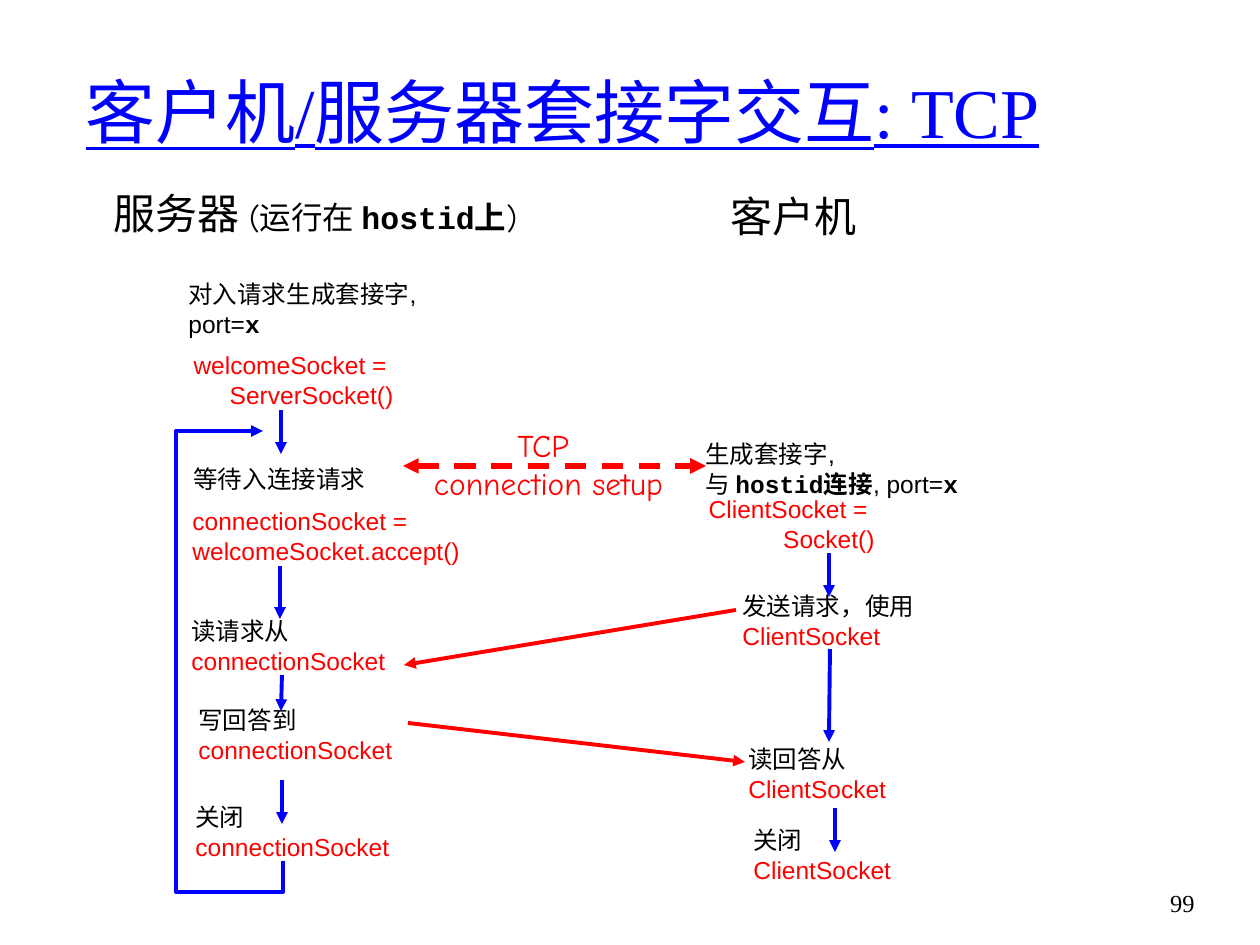
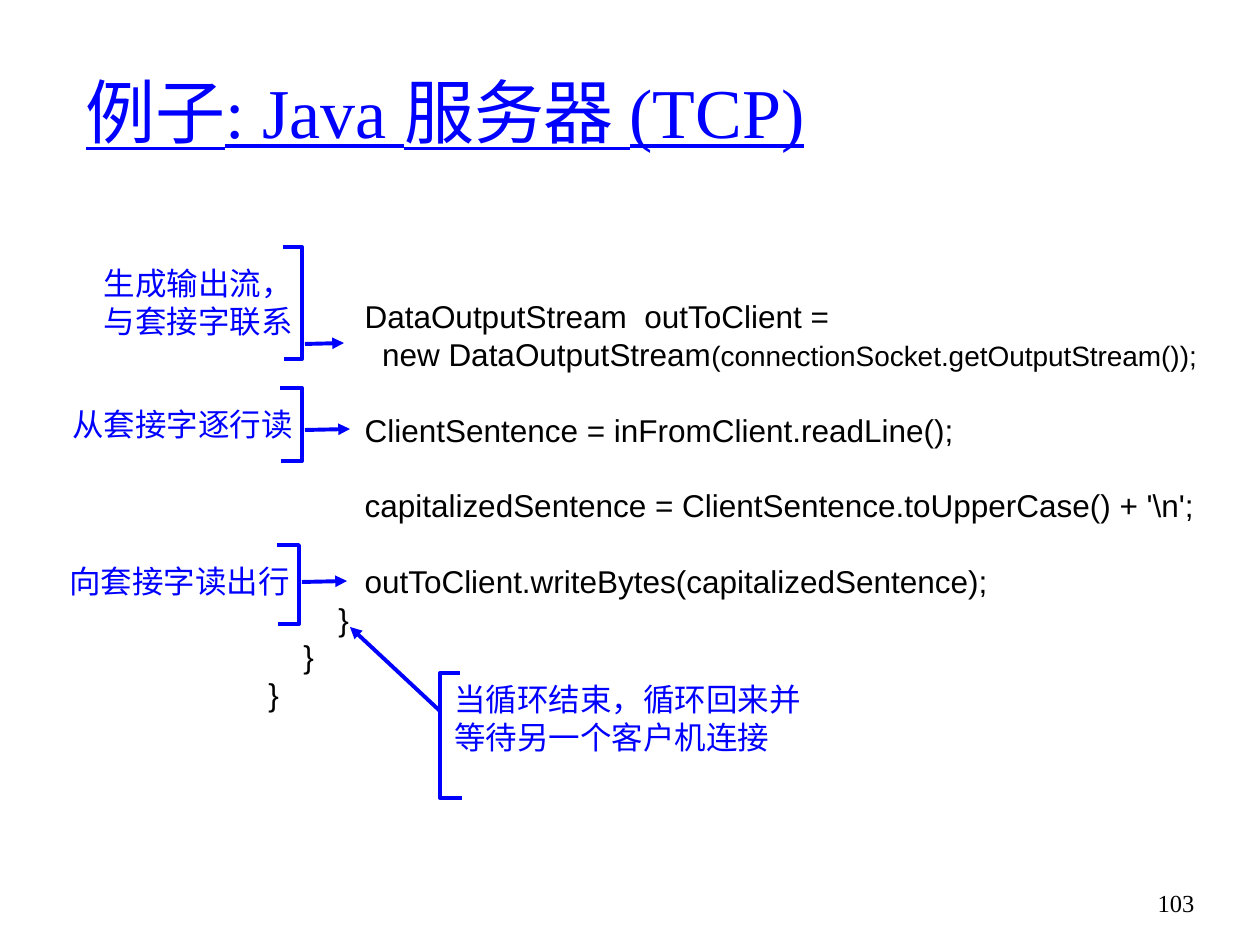
from dataclasses import dataclass

from lxml import etree
from pptx import Presentation
from pptx.dml.color import RGBColor
from pptx.enum.dml import MSO_LINE
from pptx.enum.shapes import MSO_CONNECTOR
from pptx.enum.text import MSO_ANCHOR, MSO_AUTO_SIZE, PP_ALIGN
from pptx.oxml.ns import qn
from pptx.util import Emu, Pt

LEFT, CENTER, RIGHT = PP_ALIGN.LEFT, PP_ALIGN.CENTER, PP_ALIGN.RIGHT
TOP, MIDDLE = MSO_ANCHOR.TOP, MSO_ANCHOR.MIDDLE
FIT, FIXED = MSO_AUTO_SIZE.SHAPE_TO_FIT_TEXT, MSO_AUTO_SIZE.NONE
STRAIGHT, DASH = MSO_CONNECTOR.STRAIGHT, MSO_LINE.DASH

PX_PER_INCH = 126
TITLE_ONLY = 5
BLUE, RED, BLACK = "0000FF", "FF0000", "000000"
LINE_PITCH = 1.2


def px(length):
    return Emu(round(length * 914400 / PX_PER_INCH))


def rgb(hex_colour):
    return RGBColor.from_string(hex_colour)


@dataclass(frozen=True)
class Style:
    font: str
    size: int
    colour: str = BLACK
    bold: bool = False
    underline: bool = False


TITLE = Style("Times New Roman", 40, BLUE, underline=True)
PAGE_NUMBER = Style("Times New Roman", 14)
HEADING = Style("Comic Neue", 24)
HEADING_DETAIL = Style("Comic Neue", 18)
HEADING_MONO = Style("Courier New", 18, bold=True)
SETUP = Style("Comic Neue", 18, RED)
NOTE = Style("Comic Neue", 18, BLUE)
STEP = Style("Arial", 14)
STEP_MONO = Style("Courier New", 14, bold=True)
CALL = Style("Arial", 14, RED)
CODE = Style("Arial", 18)
CODE_SMALL = Style("Arial", 16)


def add_run(paragraph, text, style):
    run = paragraph.add_run()
    run.text = text
    font = run.font
    font.name, font.size = style.font, Pt(style.size)
    font.bold, font.underline = style.bold, style.underline
    font.color.rgb = rgb(style.colour)


def add_arrowheads(line, *ends):
    for end in ends:
        etree.SubElement(line._get_or_add_ln(), qn(f"a:{end}"), type="triangle")


@dataclass
class Region:
    """Part of a slide; all lengths are px from its top left corner."""
    slide: object
    left: int
    top: int

    def at(self, x, y):
        return px(self.left + x), px(self.top + y)

    def text(self, x, y, width, height, lines, align=LEFT, anchor=MIDDLE,
             wrap=False, fit=FIT, gaps=()):
        """Each line is a list of (text, style); gaps maps line index to points."""
        box = self.slide.shapes.add_textbox(*self.at(x, y), px(width), px(height))
        frame = box.text_frame
        frame.word_wrap, frame.auto_size = wrap, fit
        frame.vertical_anchor = anchor
        for index, line in enumerate(lines):
            paragraph = frame.paragraphs[0] if index == 0 else frame.add_paragraph()
            paragraph.alignment = align
            paragraph.line_spacing = Pt(LINE_PITCH * max(s.size for _, s in line))
            if index in gaps:
                paragraph.space_before = Pt(gaps[index])
            for text, style in line:
                add_run(paragraph, text, style)

    def arrow(self, start, end, colour=BLUE, width=2.25, dash=None, both=False):
        connector = self.slide.shapes.add_connector(
            STRAIGHT, *self.at(*start), *self.at(*end))
        line = connector.line
        line.color.rgb, line.width = rgb(colour), Pt(width)
        if dash:
            line.dash_style = dash
        add_arrowheads(line, *(["headEnd"] if both else []), "tailEnd")
        etree.SubElement(connector._element.spPr, qn("a:effectLst"))

    def outline(self, points, arrowhead=False):
        first, *rest = [self.at(*point) for point in points]
        builder = self.slide.shapes.build_freeform(*first)
        builder.add_line_segments(rest, close=False)
        shape = builder.convert_to_shape()
        shape.shadow.inherit = False
        shape.fill.background()
        shape.line.color.rgb, shape.line.width = rgb(BLUE), Pt(2.25)
        if arrowhead:
            add_arrowheads(shape.line, "tailEnd")


# Shared title and page number
def new_slide(deck, title, number):
    slide = deck.slides.add_slide(deck.slide_layouts[TITLE_ONLY])
    heading = slide.shapes.title
    heading.left, heading.top = px(73), px(31)
    heading.width, heading.height = px(1071), px(158)
    frame = heading.text_frame
    frame.word_wrap, frame.auto_size = True, FIXED
    frame.vertical_anchor = MIDDLE
    paragraph = frame.paragraphs[0]
    paragraph.alignment = LEFT
    add_run(paragraph, title, TITLE)
    Region(slide, 1144, 882).text(0, 0, 63, 63, [[(number, PAGE_NUMBER)]],
                                  RIGHT, TOP, wrap=True, fit=FIXED)
    return slide


def socket_steps(region, socket, width, steps):
    """Two-line steps: what is done, then the socket it is done on."""
    for x, y, action in steps:
        region.text(x, y, width, 71, [[(action, STEP)], [(socket, CALL)]])


# Column headings
def column_headings(region):
    region.text(0, 0, 469, 63, [[
        ("服务器 ", HEADING), ("(运行在 ", HEADING_DETAIL),
        ("hostid上", HEADING_MONO), (")", HEADING_DETAIL)]], CENTER)
    region.text(637, 3, 151, 63, [[("客户机", HEADING)]], CENTER)


# Server column with its loop back
def server_column(region):
    region.text(0, 0, 258, 71, [[("对入请求生成套接字,", STEP)],
                                [("port=", STEP), ("x", STEP_MONO)]])
    region.text(4, 71, 226, 71, [[("welcomeSocket = ", CALL)],
                                 [("ServerSocket()", CALL)]], RIGHT)
    region.text(5, 184, 197, 43, [[("等待入连接请求", STEP)]])
    region.text(4, 227, 310, 71, [[("connectionSocket =", CALL)],
                                  [("welcomeSocket.accept()", CALL)]], wrap=True)
    socket_steps(region, "connectionSocket", 219, [
        (3, 337, "读请求从"), (10, 426, "写回答到"), (7, 523, "关闭")])
    for start, end in [((105, 137), (105, 181)), ((104, 293), (104, 346)),
                       ((106, 402), (105, 438)), ((106, 507), (106, 551))]:
        region.arrow(start, end)
    region.outline([(107, 588), (107, 619), (0, 619), (0, 158), (87, 158)],
                   arrowhead=True)


# Client column
def client_column(region):
    region.text(0, 0, 330, 71, [
        [("生成套接字,", STEP)],
        [("与 ", STEP), ("hostid连接", STEP_MONO), (", port=", STEP),
         ("x", STEP_MONO)]], wrap=True)
    region.text(0, 55, 194, 71, [[("ClientSocket = ", CALL)],
                                 [("Socket()", CALL)]], RIGHT, wrap=True)
    region.text(37, 152, 197, 71, [[("发送请求，使用", STEP)],
                                   [("ClientSocket", CALL)]])
    socket_steps(region, "ClientSocket", 163, [
        (43, 305, "读回答从"), (48, 386, "关闭")])
    for start, end in [((136, 120), (136, 164)), ((137, 216), (136, 309)),
                       ((142, 375), (142, 419))]:
        region.arrow(start, end)


# Messages between the columns
def messages(region):
    region.arrow((0, 46), (303, 46), RED, 3, DASH, both=True)
    region.text(18, 0, 255, 88, [[("TCP ", SETUP)],
                                 [("connection setup", SETUP)]], CENTER)
    region.arrow((333, 190), (1, 245), RED)
    region.arrow((5, 303), (342, 342), RED)


# Java listing
def code_listing(region):
    lines = [
        [("           DataOutputStream  outToClient =", CODE)],
        [("             new DataOutputStream", CODE),
         ("(connectionSocket.getOutputStream());", CODE_SMALL), (" ", CODE)],
        [("           ClientSentence = inFromClient.readLine();", CODE)],
        [("           capitalizedSentence = ClientSentence.toUpperCase() + '\\n';",
          CODE)],
        [("           outToClient.writeBytes(capitalizedSentence);", CODE)],
        [("        }", CODE)],
        [("    }", CODE)],
        [("}", CODE)],
    ]
    blank_line = LINE_PITCH * CODE.size
    region.text(0, 0, 963, 428, lines, anchor=TOP,
                gaps=dict.fromkeys((2, 3, 4), blank_line))


# Note with a bracket on its right and an arrow to the code
def code_note(region, label, label_width, label_height, bracket_width,
              bracket_height, arrow_y, arrow_length, wrap=False):
    spine = bracket_width
    region.text(spine + 3 - label_width, 11, label_width, label_height,
                [[(label, NOTE)]], RIGHT, wrap=wrap)
    region.outline([(0, 0), (spine, 0), (spine, bracket_height),
                    (1, bracket_height)])
    region.arrow((spine + 3, arrow_y), (spine + 3 + arrow_length, arrow_y - 1))


# Note on the end of the loop
def loop_note(region):
    region.text(2, 1, 375, 88, [[("当循环结束，循环回来并等待另一个客户机连接", NOTE)]],
                anchor=TOP, wrap=True)
    region.outline([(22, 125), (0, 125), (0, 0), (20, 0)])
    region.arrow((0, 38), (-90, -46))


def interaction_slide(deck):
    slide = new_slide(deck, "客户机/服务器套接字交互: TCP", "99")
    column_headings(Region(slide, 81, 181))
    server_column(Region(slide, 176, 273))
    client_column(Region(slide, 693, 433))
    messages(Region(slide, 403, 420))


def java_server_slide(deck):
    slide = new_slide(deck, "例子: Java 服务器 (TCP)", "103")
    code_listing(Region(slide, 256, 291))
    code_note(Region(slide, 283, 247), "生成输出流，与套接字联系",
              229, 88, 19, 112, 97, 39, wrap=True)
    code_note(Region(slide, 280, 388), "从套接字逐行读", 246, 50, 22, 73, 42, 45)
    code_note(Region(slide, 277, 545), "向套接字读出行", 246, 50, 22, 79, 37, 45)
    loop_note(Region(slide, 440, 673))


def main():
    deck = Presentation()
    deck.slide_width, deck.slide_height = px(1260), px(945)
    interaction_slide(deck)
    java_server_slide(deck)
    deck.save("out.pptx")


if __name__ == "__main__":
    main()
